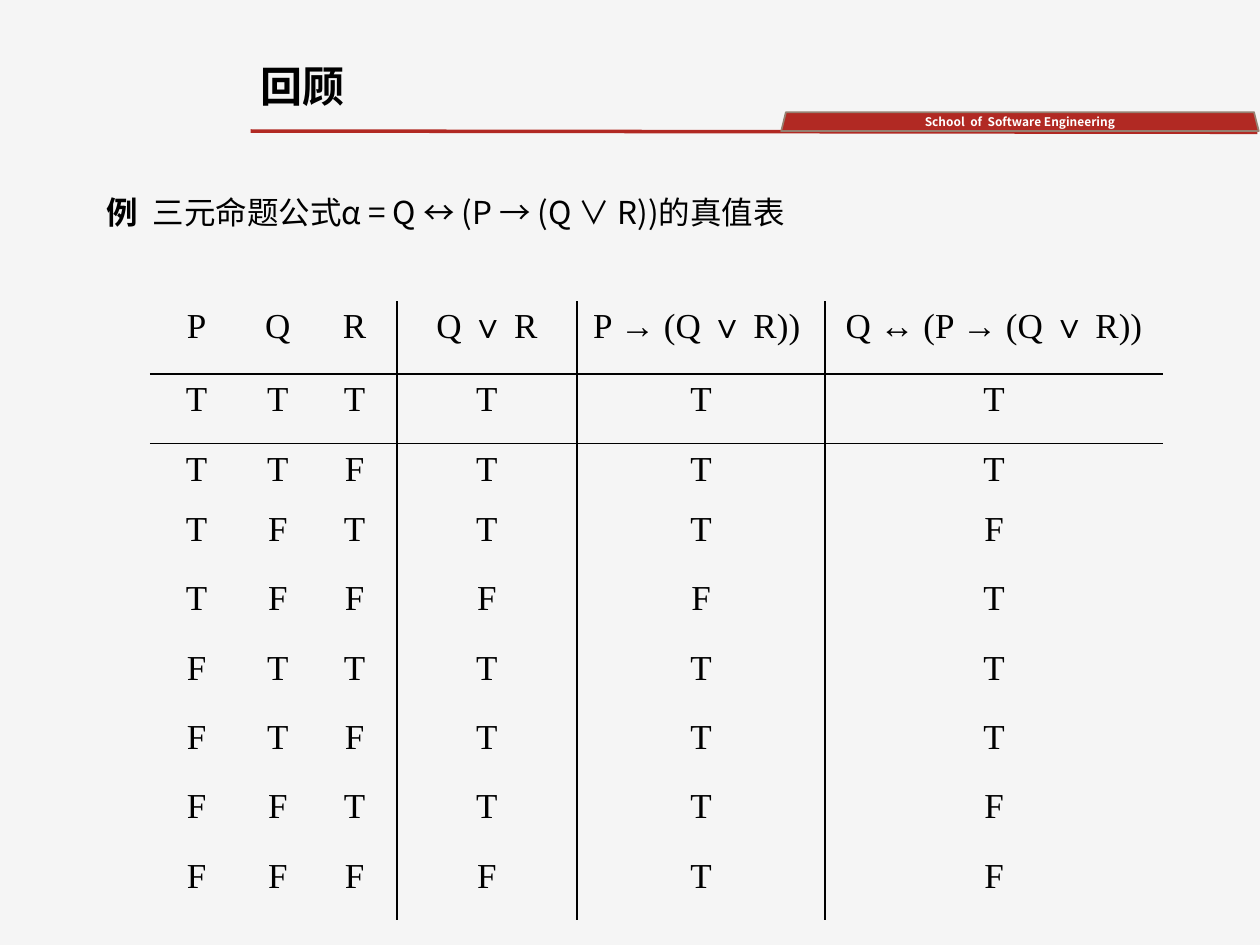
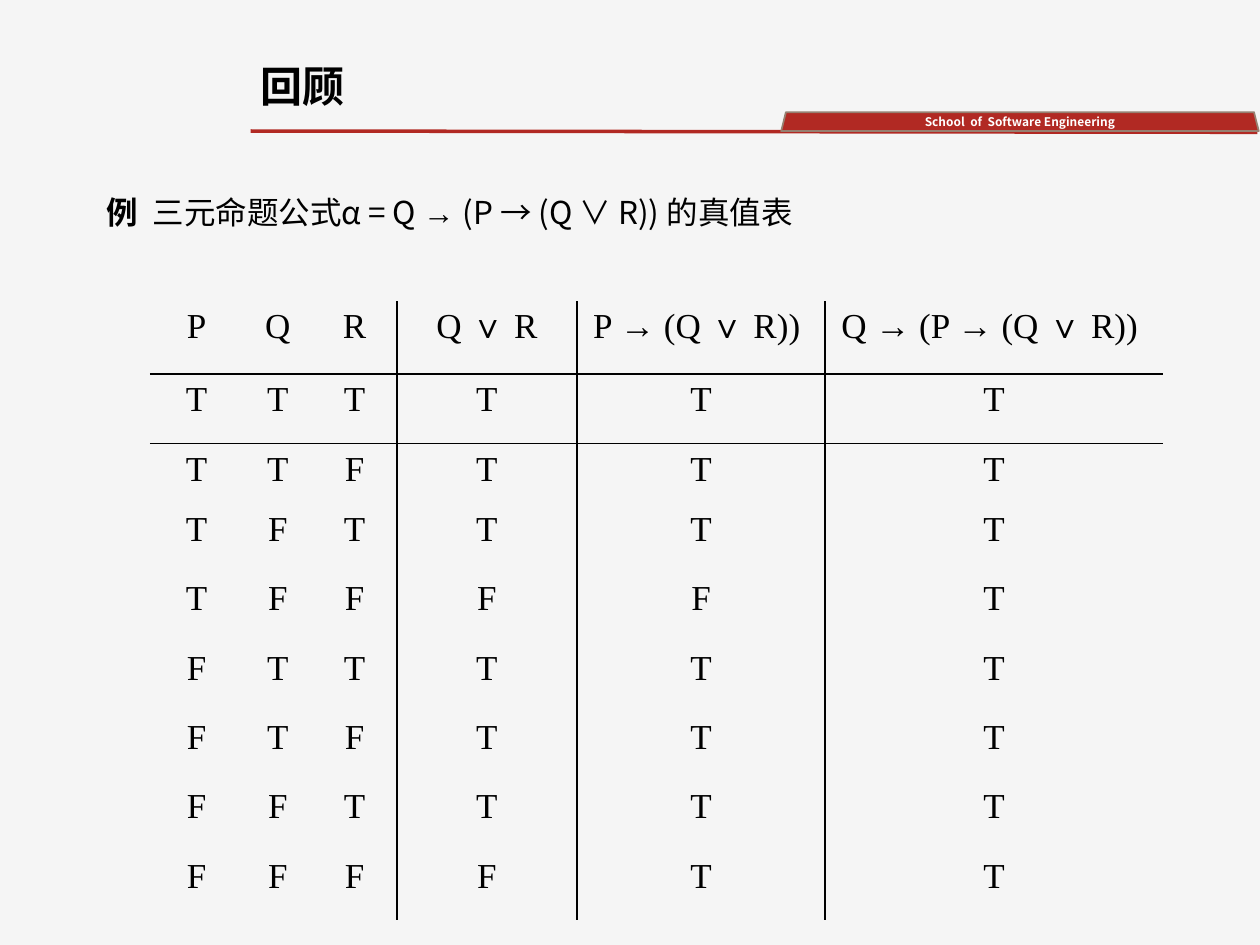
from itertools import product

from lxml.etree import SubElement
from pptx import Presentation
from pptx.dml.color import RGBColor
from pptx.enum.shapes import MSO_CONNECTOR, MSO_SHAPE
from pptx.enum.text import MSO_ANCHOR, PP_ALIGN
from pptx.oxml.ns import qn
from pptx.util import Inches, Pt

PAPER = RGBColor(0xF5, 0xF5, 0xF5)
RED = RGBColor(0xB1, 0x29, 0x23)
TAUPE = RGBColor(0x96, 0x80, 0x71)
BLACK = RGBColor(0, 0, 0)
WHITE = RGBColor(0xFF, 0xFF, 0xFF)
SANS = "Noto Sans CJK SC"
SERIF = "Times New Roman"
NO_GRID_STYLE = "{2D5ABB26-0587-4C30-8999-92F81FD0307C}"

COL_WIDTHS = [0.74, 0.55, 0.67, 1.43, 1.97, 2.68]
ROW_HEIGHTS = [0.58, 0.55, 0.48] + [0.55] * 6


def add_run(p, text, size, font=SANS, color=BLACK, bold=False):
    r = p.add_run()
    r.text = text
    r.font.size = Pt(size)
    r.font.name = font
    r.font.bold = bold
    r.font.color.rgb = color
    SubElement(r.font._element, qn("a:ea")).set("typeface", font)


def add_text(s, left, top, width, height, runs, size, align):
    tf = s.shapes.add_textbox(Inches(left), Inches(top), Inches(width), Inches(height)).text_frame
    tf.word_wrap = True
    p = tf.paragraphs[0]
    p.alignment = align
    p.line_spacing = 0.9
    p.space_before = Pt(7.5)
    for text, font, bold in runs:
        add_run(p, text, size, font, bold=bold)


prs = Presentation()
prs.slide_width, prs.slide_height = Inches(10), Inches(7.5)
fill = prs.slide_master.background.fill
fill.solid()
fill.fore_color.rgb = PAPER

# Each slide: runs of the formula, header of the last column, its connective
slides = [
    ([("  三元命题公式α = Q ↔ (P → (Q ∨ R))的真值表", SANS, False)],
     "Q ↔ (P → (Q ∨ R))", lambda a, b: a == b),
    ([("  三元命题公式α = Q ", SANS, False), ("→ ", SERIF, False),
      ("(P → (Q ∨ R)) 的真值表", SANS, False)],
     "Q → (P → (Q ∨ R)) ", lambda a, b: not a or b),
]

for formula, last_header, connective in slides:
    s = prs.slides.add_slide(prs.slide_layouts[6])

    # Title rule
    line = s.shapes.add_connector(MSO_CONNECTOR.STRAIGHT, Inches(1.99), Inches(1.04),
                                  Inches(9.98), Inches(1.05))
    line.line.color.rgb = RED
    line.line.width = Pt(2)
    SubElement(line._element.spPr, qn("a:effectLst"))

    # School banner
    sp = s.shapes.add_shape(MSO_SHAPE.TRAPEZOID, Inches(6.2), Inches(0.89),
                            Inches(3.79), Inches(0.15))
    sp.shadow.inherit = False
    sp.fill.solid()
    sp.fill.fore_color.rgb = RED
    sp.line.color.rgb = TAUPE
    sp.line.width = Pt(1)
    tf = sp.text_frame
    tf.margin_top = tf.margin_bottom = 0
    tf.vertical_anchor = MSO_ANCHOR.MIDDLE
    p = tf.paragraphs[0]
    p.alignment = PP_ALIGN.CENTER
    add_run(p, "School  of  Software Engineering", 6.8, color=WHITE, bold=True)

    # Title and example
    add_text(s, 1.97, 0.48, 4.55, 0.56, [("回顾", SANS, True)], 24, PP_ALIGN.LEFT)
    add_text(s, 0.75, 1.52, 8.92, 5.21, [("例", SANS, True)] + formula, 18, PP_ALIGN.JUSTIFY)

    # Truth table values
    rows = [["P", "Q", "R", "Q ∨ R", "P → (Q ∨ R)) ", last_header]]
    for P, Q, R in product([True, False], repeat=3):
        either = Q or R
        implied = not P or either
        values = [P, Q, R, either, implied, connective(Q, implied)]
        rows.append(["T" if v else "F" for v in values])

    # Truth table
    frame = s.shapes.add_table(len(rows), len(COL_WIDTHS), Inches(1.19), Inches(2.39),
                               Inches(sum(COL_WIDTHS)), Inches(sum(ROW_HEIGHTS)))
    table = frame.table
    table.first_row = table.horz_banding = False
    table._tbl.tblPr.find(qn("a:tableStyleId")).text = NO_GRID_STYLE
    for col, width in zip(table.columns, COL_WIDTHS):
        col.width = Inches(width)
    for row, height in zip(table.rows, ROW_HEIGHTS):
        row.height = Inches(height)
    for i, row in enumerate(rows):
        for j, text in enumerate(row):
            cell = table.cell(i, j)
            p = cell.text_frame.paragraphs[0]
            p.alignment = PP_ALIGN.CENTER
            p.space_before = Pt(4)
            add_run(p, text, 20, SERIF)

            # Rules: below the header and around the derived columns
            borders = {"a:lnL": j > 2, "a:lnR": 2 <= j < 5, "a:lnT": i == 1, "a:lnB": i == 0}
            tcPr = cell._tc.get_or_add_tcPr()
            for tag, shown in borders.items():
                if shown:
                    ln = SubElement(tcPr, qn(tag), w=str(Pt(1)))
                    solid = SubElement(ln, qn("a:solidFill"))
                    SubElement(solid, qn("a:srgbClr"), val=str(BLACK))
            cell.fill.background()

prs.save("out.pptx")
